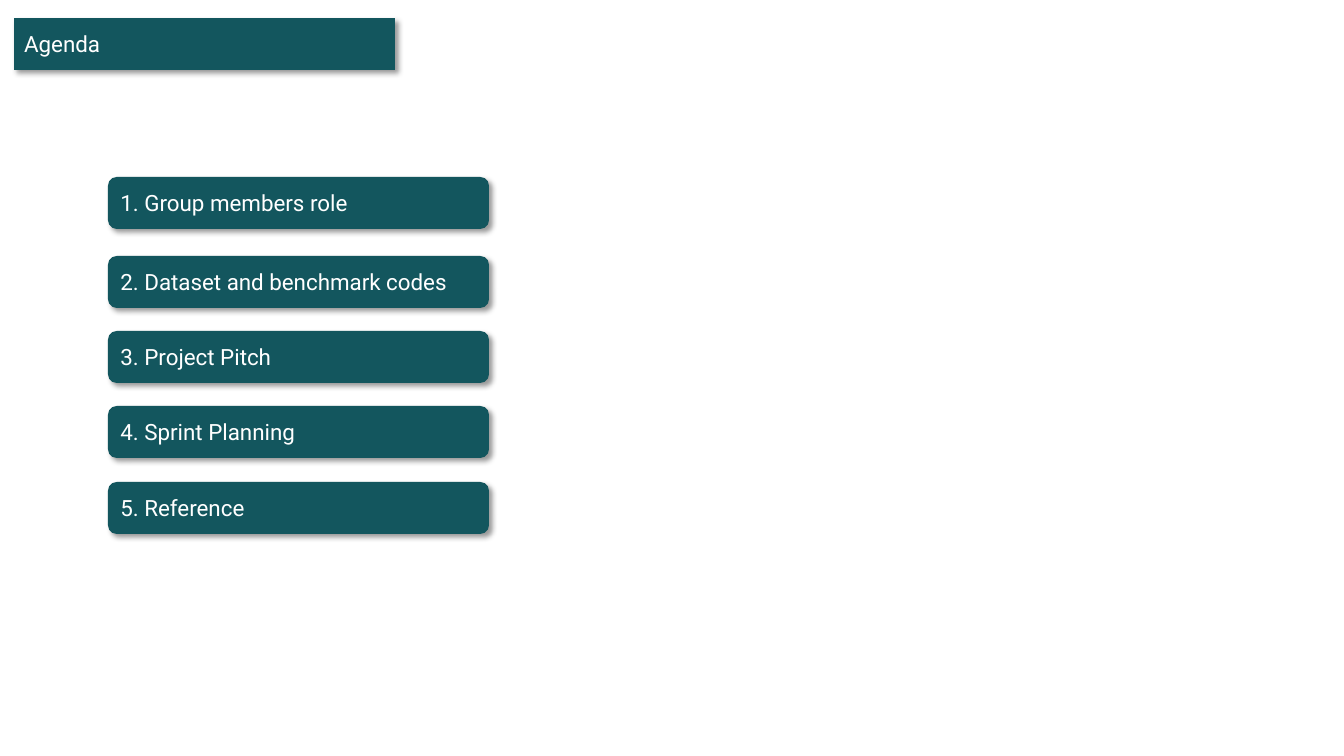
from lxml.etree import SubElement
from pptx import Presentation
from pptx.dml.color import RGBColor
from pptx.enum.shapes import MSO_SHAPE
from pptx.enum.text import MSO_ANCHOR, MSO_AUTO_SIZE, PP_ALIGN
from pptx.oxml import parse_xml
from pptx.oxml.ns import nsdecls, qn
from pptx.util import Emu, Pt

TEAL = RGBColor(0x13, 0x56, 0x5E)
WHITE = RGBColor(0xFF, 0xFF, 0xFF)
EMU_PER_PX = 914400 / 100.8
BAR_WIDTH, BAR_HEIGHT = 381, 52

SHADOW = (
    f'<a:outerShdw {nsdecls("a")} blurRad="{Pt(4)}" dist="{Pt(3)}" dir="2700000" '
    'algn="tl" rotWithShape="0"><a:srgbClr val="000000"><a:alpha val="40000"/>'
    '</a:srgbClr></a:outerShdw>'
)
ROUNDED = f'<a:prstGeom {nsdecls("a")} prst="roundRect"><a:avLst/></a:prstGeom>'


def px(length):
    return Emu(round(length * EMU_PER_PX))


def apply(target, values):
    for name, value in values.items():
        setattr(target, name, value)


class AgendaSlide:
    frame_format = {
        "word_wrap": True,
        "auto_size": MSO_AUTO_SIZE.NONE,
        "vertical_anchor": MSO_ANCHOR.MIDDLE,
    }
    font_format = {"name": "Roboto", "size": Pt(16), "bold": False}

    def __init__(self, presentation):
        self.slide = presentation.slides.add_slide(presentation.slide_layouts[5])

    def style(self, shape, text):
        shape.fill.solid()
        shape.fill.fore_color.rgb = TEAL
        shape.line.fill.background()
        shape.shadow.inherit = False
        effects = shape._element.spPr.find(qn("a:effectLst"))
        effects.append(parse_xml(SHADOW))

        shape.text_frame.text = text
        apply(shape.text_frame, self.frame_format)
        paragraph = shape.text_frame.paragraphs[0]
        paragraph.alignment = PP_ALIGN.LEFT
        font = paragraph.runs[0].font
        apply(font, self.font_format)
        font.color.rgb = WHITE

    def title(self, left, top, text):
        shape = self.slide.shapes.title
        apply(shape, {"left": px(left), "top": px(top),
                      "width": px(BAR_WIDTH), "height": px(BAR_HEIGHT)})
        shape._element.spPr.find(qn("a:xfrm")).addnext(parse_xml(ROUNDED))
        self.style(shape, text)

    def bar(self, left, top, text):
        shape = self.slide.shapes.add_shape(
            MSO_SHAPE.ROUNDED_RECTANGLE,
            px(left), px(top), px(BAR_WIDTH), px(BAR_HEIGHT))
        self.style(shape, text)


def main():
    presentation = Presentation()
    apply(presentation, {"slide_width": px(1344), "slide_height": px(756)})
    agenda = AgendaSlide(presentation)

    # Title
    agenda.title(14, 18, "Agenda")

    # Agenda items, top to bottom
    items = [
        (177, "Group members role"),
        (256, "Dataset and benchmark codes"),
        (331, "Project Pitch"),
        (406, "Sprint Planning"),
        (482, "Reference"),
    ]
    for number, (top, text) in enumerate(items, start=1):
        agenda.bar(108, top, f"{number}. {text}")

    presentation.save("out.pptx")


if __name__ == "__main__":
    main()
